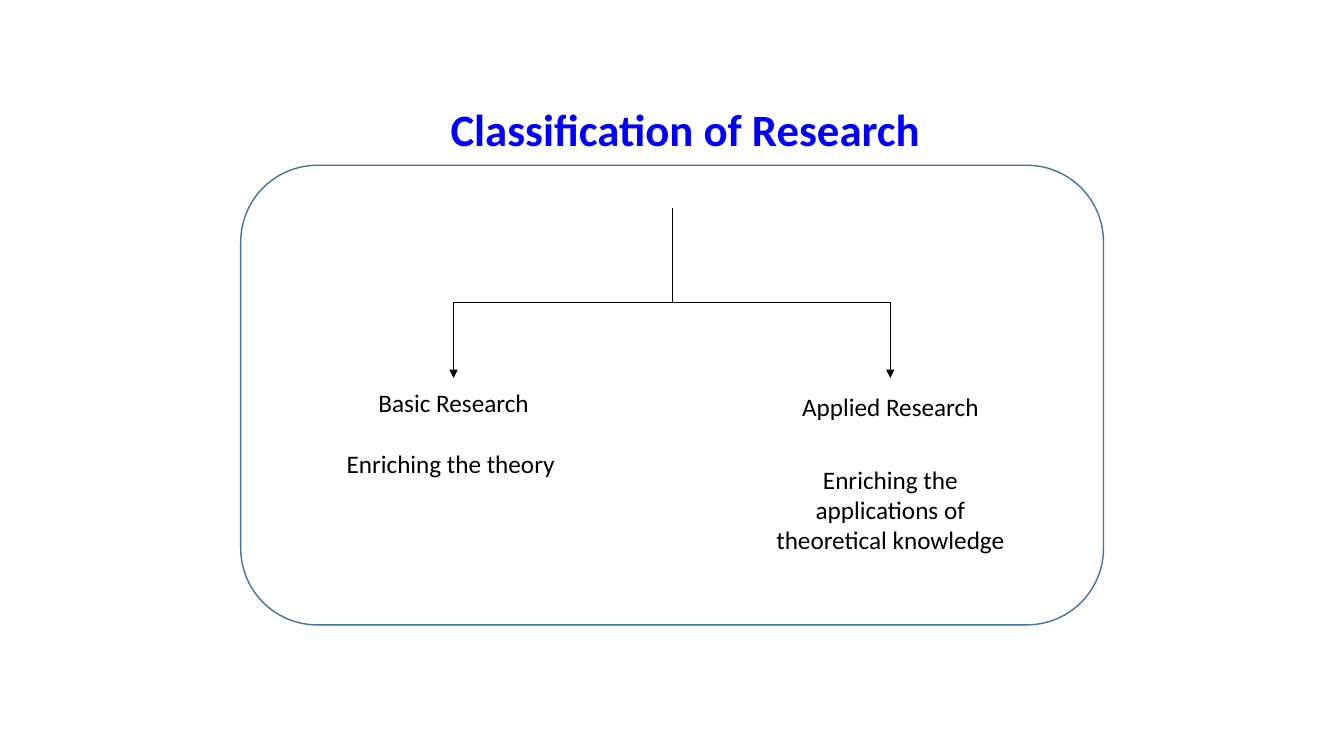
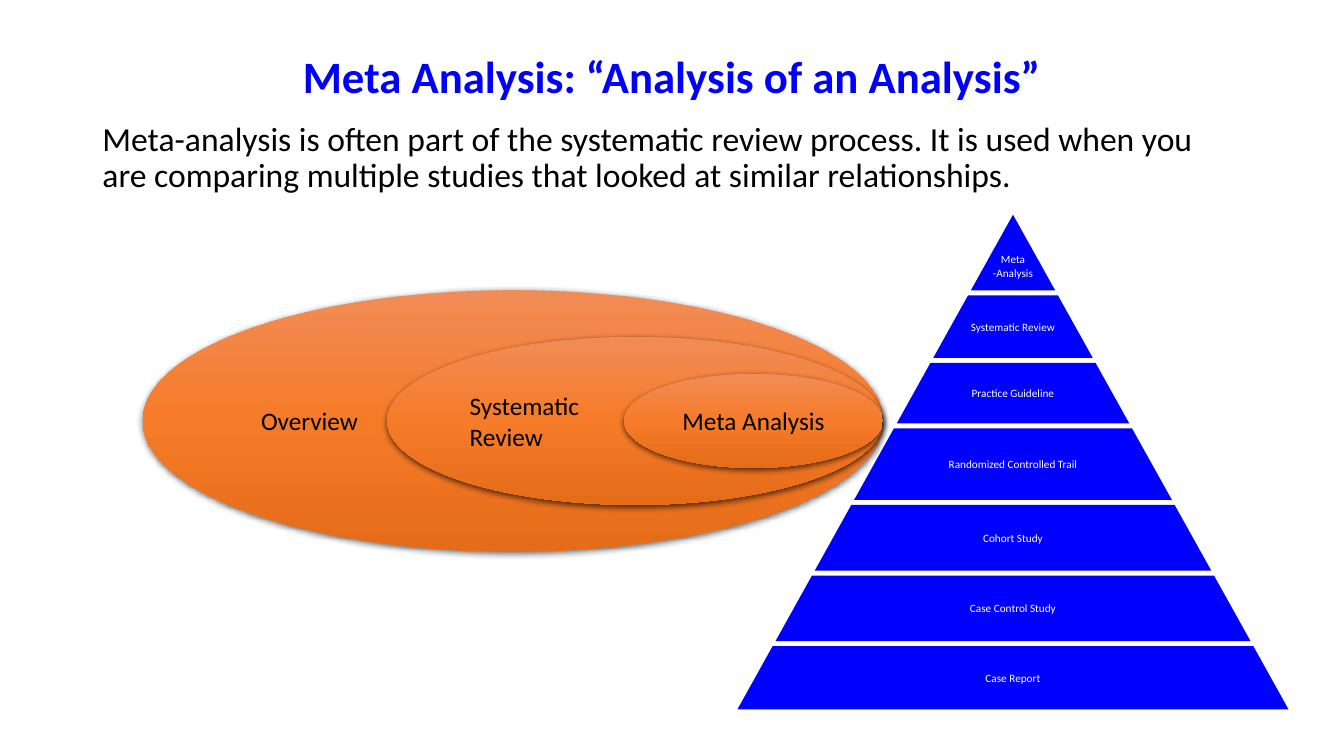
"""Build two slides on research classification and meta-analysis."""
from copy import deepcopy
from dataclasses import dataclass
from typing import Any, Optional

from lxml import etree
from pptx import Presentation
from pptx import util as u
from pptx.dml.color import RGBColor
from pptx.enum import shapes, text
from pptx.oxml.ns import qn

COLUMNS, ROWS = 80, 45
CELL = u.Inches(1) / 6
TITLE_AND_CONTENT, TITLE_ONLY = 1, 5


@dataclass(frozen=True)
class Theme:
    """Colours, font and type sizes of the deck."""
    font: str = "Calibri"
    accent: str = "0000FF"
    ink: str = "000000"
    paper: str = "FFFFFF"
    outline: str = "43739E"
    gradient: tuple[tuple[float, str], ...] = (
        (0, "F18C57"), (0.5, "F67B28"), (1, "E56C19"))
    title_size: float = 32
    body_size: float = 24
    label_size: float = 18
    tier_size: float = 8


THEME = Theme()


@dataclass(frozen=True)
class Area:
    """A rectangle in grid columns and rows."""
    left: float
    top: float
    width: float
    height: float

    def emu(self) -> tuple[int, int, int, int]:
        """Return the rectangle in drawing units."""
        return (grid(self.left), grid(self.top),
                grid(self.width), grid(self.height))


@dataclass(frozen=True)
class Label:
    """A text box centred on a branch."""
    words: str
    top: float
    width: float
    height: float


@dataclass(frozen=True)
class Branch:
    """One arm of the classification tree."""
    column: float
    name: Label
    purpose: Label
    joined: bool = False


@dataclass(frozen=True)
class Oval:
    """One of the nested ellipses."""
    words: str
    width: float
    height: float
    align: text.PP_ALIGN = text.PP_ALIGN.LEFT


@dataclass(frozen=True)
class Tier:
    """One layer of the evidence pyramid."""
    words: str
    height: float
    insets: tuple[float, float, float, float] = (0, 0, 0, 0)


BRANCHES = (
    Branch(27, Label("Basic Research", 22.5, 11.8, 2.9),
           Label("Enriching the theory ", 26.15, 14.5, 2.9), joined=True),
    Branch(53, Label("Applied Research", 22.75, 11.8, 2.9),
           Label("Enriching the applications of theoretical knowledge",
                 26.45, 16.7, 7.75)),
)
OVALS = (
    Oval("Overview", 44.05, 15.55),
    Oval("Systematic\nReview", 29.5, 10),
    Oval("Meta Analysis", 15.4, 5.6, text.PP_ALIGN.CENTER),
)
TIERS = (
    Tier("Meta -Analysis", 4.5, (0.15, 0.27, 0.15, 0)),
    Tier("Systematic Review", 3.72),
    Tier("Practice Guideline", 3.6),
    Tier("Randomized Controlled Trail", 4.26),
    Tier("Cohort Study", 3.9),
    Tier("Case Control Study", 3.9),
    Tier("Case Report", 3.76),
)


def grid(cells: float) -> int:
    """Convert grid cells to drawing units."""
    return round(cells * CELL)


def rgb(code: str) -> RGBColor:
    """Convert a hex code to a colour."""
    return RGBColor.from_string(code)


def write(box: Any, words: str, *, size: float, color: str = THEME.ink,
          bold: bool = False, align: text.PP_ALIGN = text.PP_ALIGN.CENTER,
          anchor: text.MSO_ANCHOR = text.MSO_ANCHOR.MIDDLE,
          spacing: Optional[float] = None, plain: bool = False,
          insets: Optional[tuple[float, float, float, float]] = None) -> None:
    """Fill a shape with formatted paragraphs, one per line of words."""
    frame = box.text_frame
    frame.word_wrap = True
    frame.auto_size = text.MSO_AUTO_SIZE.NONE
    frame.vertical_anchor = anchor
    if insets is not None:
        (frame.margin_left, frame.margin_top,
         frame.margin_right, frame.margin_bottom) = map(u.Inches, insets)
    for index, line in enumerate(words.split("\n")):
        para = frame.add_paragraph() if index else frame.paragraphs[0]
        para.alignment = align
        para.space_before = u.Pt(0)
        if spacing is not None:
            para.line_spacing = spacing
        if plain:
            properties = para._p.get_or_add_pPr()
            properties.set("marL", "0")
            properties.set("indent", "0")
            etree.SubElement(properties, qn("a:buNone"))
        span = para.add_run()
        span.text = line
        span.font.name = THEME.font
        span.font.size = u.Pt(size)
        span.font.bold = bold
        span.font.color.rgb = rgb(color)


def place(box: Any, area: Area) -> None:
    """Move and size a placeholder."""
    box.left, box.top, box.width, box.height = area.emu()


def add_page(deck: Any, layout: int, title: str, area: Area) -> Any:
    """Add a slide with the shared title style."""
    page = deck.slides.add_slide(deck.slide_layouts[layout])
    place(page.shapes.title, area)
    write(page.shapes.title, title, size=THEME.title_size,
          color=THEME.accent, bold=True, spacing=0.9)
    return page


def add_box(page: Any, kind: shapes.MSO_SHAPE, area: Area,
            fill: Optional[str] = None, line: Optional[str] = None) -> Any:
    """Add a preset shape without a shadow."""
    box = page.shapes.add_shape(kind, *area.emu())
    paint(box, fill, line)
    return box


def paint(box: Any, fill: Optional[str], line: Optional[str] = None) -> None:
    """Set the fill and outline of a shape and drop its shadow."""
    box.shadow.inherit = False
    if fill:
        box.fill.solid()
        box.fill.fore_color.rgb = rgb(fill)
    else:
        box.fill.background()
    if line:
        box.line.color.rgb = rgb(line)
        box.line.width = u.Pt(1)
    else:
        box.line.fill.background()


def add_line(page: Any, start: tuple[float, float], end: tuple[float, float],
             arrow: bool = False) -> Any:
    """Add a thin straight connector between two grid points."""
    line = page.shapes.add_connector(
        shapes.MSO_CONNECTOR.STRAIGHT, *map(grid, start + end))
    line.line.color.rgb = rgb(THEME.ink)
    line.line.width = u.Pt(0.5)
    properties = line._element.spPr
    if arrow:
        etree.SubElement(properties.find(qn("a:ln")), qn("a:tailEnd"),
                         type="triangle")
    etree.SubElement(properties, qn("a:effectLst"))
    return line


def add_label(page: Any, column: float, label: Label) -> Any:
    """Add a white label centred on a column."""
    area = Area(column - label.width / 2, label.top, label.width, label.height)
    box = add_box(page, shapes.MSO_SHAPE.RECTANGLE, area, fill=THEME.paper)
    write(box, label.words, size=THEME.label_size)
    return box


def add_tree(page: Any) -> None:
    """Draw the classification tree with its labels."""
    middle, top, bar, tip = COLUMNS / 2, 12.36, 18, 22.5
    add_line(page, (middle, top), (middle, bar))
    for branch in BRANCHES:
        name = add_label(page, branch.column, branch.name)
        add_label(page, branch.column, branch.purpose)
        add_line(page, (middle, bar), (branch.column, bar))
        drop = add_line(page, (branch.column, bar), (branch.column, tip),
                        arrow=True)
        if branch.joined:
            drop.end_connect(name, 0)


def add_glow(box: Any) -> None:
    """Give a shape the orange gradient and a soft shadow below."""
    box.fill.gradient()
    box.fill.gradient_angle = 270
    stops = box._element.spPr.find(".//" + qn("a:gsLst"))
    stops.insert(1, deepcopy(stops[0]))
    for stop, (position, color) in zip(box.fill.gradient_stops,
                                       THEME.gradient):
        stop.position = position
        stop.color.rgb = rgb(color)
    effects = box._element.spPr.find(qn("a:effectLst"))
    shadow = etree.SubElement(
        effects, qn("a:outerShdw"), blurRad=str(u.Pt(4.5)),
        dist=str(u.Pt(1.5)), dir="5400000", algn="ctr", rotWithShape="0")
    color = etree.SubElement(shadow, qn("a:srgbClr"), val=THEME.ink)
    etree.SubElement(color, qn("a:alpha"), val="63000")


def add_ovals(page: Any, right: float, middle: float) -> None:
    """Draw nested ellipses that meet at their right ends."""
    for oval in OVALS:
        area = Area(right - oval.width, middle - oval.height / 2,
                    oval.width, oval.height)
        box = add_box(page, shapes.MSO_SHAPE.OVAL, area)
        add_glow(box)
        write(box, oval.words, size=THEME.label_size, align=oval.align)


def add_pyramid(page: Any, apex: float, peak: float, slope: float = 0.557,
                gap: float = 0.3) -> None:
    """Draw the tiers of the pyramid from the peak down."""
    top = peak
    for tier in TIERS:
        bottom = top + tier.height
        upper, lower = (slope * (edge - peak) for edge in (top, bottom))
        corners = [(apex - upper, top), (apex + upper, top),
                   (apex + lower, bottom), (apex - lower, bottom)]
        points = [(grid(x), grid(y)) for x, y in corners]
        builder = page.shapes.build_freeform(*points[0])
        builder.add_line_segments(points[1:], close=True)
        box = builder.convert_to_shape()
        paint(box, THEME.accent)
        write(box, tier.words, size=THEME.tier_size, color=THEME.paper,
              insets=tier.insets)
        top = bottom + gap


def main() -> None:
    """Build and save the deck."""
    deck = Presentation()
    deck.slide_width, deck.slide_height = grid(COLUMNS), grid(ROWS)

    page = add_page(deck, TITLE_ONLY, "Classification of Research",
                    Area(6.3, 6, 69, 3.72))
    add_box(page, shapes.MSO_SHAPE.ROUNDED_RECTANGLE,
            Area(14.33, 9.84, 51.36, 27.36), line=THEME.outline)
    add_tree(page)

    page = add_page(deck, TITLE_AND_CONTENT,
                    "Meta Analysis: “Analysis of an Analysis”",
                    Area(5.5, 2.4, 69, 4.56))
    body = page.placeholders[1]
    place(body, Area(5.5, 7, 69, 38))
    write(body, "Meta-analysis is often part of the systematic review process. "
          "It is used when you are comparing multiple studies that looked at "
          "similar relationships.", size=THEME.body_size, spacing=0.9,
          align=text.PP_ALIGN.LEFT, anchor=text.MSO_ANCHOR.TOP, plain=True)
    add_pyramid(page, apex=60.3, peak=12.78)
    add_ovals(page, right=52.55, middle=25.05)

    deck.save("out.pptx")


if __name__ == "__main__":
    main()
